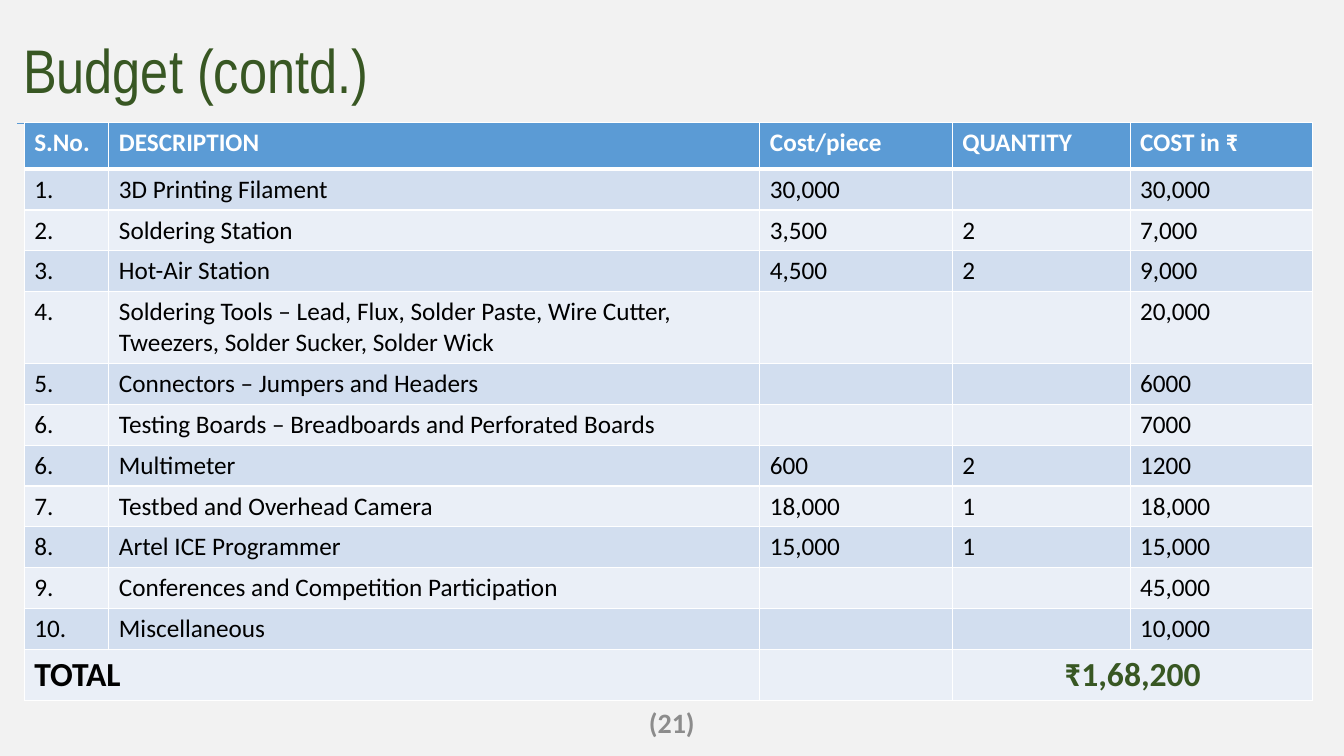
from lxml import etree
from pptx import Presentation
from pptx.dml.color import RGBColor
from pptx.enum.shapes import MSO_CONNECTOR
from pptx.enum.text import MSO_ANCHOR, MSO_AUTO_SIZE, PP_ALIGN
from pptx.oxml.ns import qn
from pptx.util import Pt

GREEN, BLUE, WHITE, BLACK = "385723", "5B9BD5", "FFFFFF", "000000"
BAND_DARK, BAND_LIGHT = "D2DEEF", "EAEFF7"
BACKGROUND, PAGE_GREY = "F2F2F2", "8C8C8C"

COLUMN_WIDTHS = [60.5, 465, 137.5, 127, 130.5]
HEADER_HEIGHT, ITEM_HEIGHT, TWO_LINE_HEIGHT, TOTAL_HEIGHT = 33, 29.2, 51, 36

HEADINGS = ["S.No.", "DESCRIPTION", "Cost/piece", "QUANTITY", "COST in ₹"]
ITEMS = [
    ["1.", "3D Printing Filament", "30,000", "", "30,000"],
    ["2.", "Soldering Station", "3,500", "2", "7,000"],
    ["3.", "Hot-Air Station", "4,500", "2", "9,000"],
    ["4.", "Soldering Tools – Lead, Flux, Solder Paste, Wire Cutter, "
           "Tweezers, Solder Sucker, Solder Wick", "", "", "20,000"],
    ["5.", "Connectors – Jumpers and Headers", "", "", "6000"],
    ["6.", "Testing Boards – Breadboards and Perforated Boards", "", "", "7000"],
    ["6.", "Multimeter", "600", "2", "1200"],
    ["7.", "Testbed and Overhead Camera", "18,000", "1", "18,000"],
    ["8.", "Artel ICE Programmer", "15,000", "1", "15,000"],
    ["9.", "Conferences and Competition Participation", "", "", "45,000"],
    ["10.", "Miscellaneous", "", "", "10,000"],
]
TOTAL = ["TOTAL", "", "", "₹1,68,200", ""]


def rgb(hex_colour):
    return RGBColor.from_string(hex_colour)


def style(paragraph, size, colour, bold=False, name="Calibri", align=PP_ALIGN.LEFT):
    font = paragraph.font
    font.size, font.bold, font.name = Pt(size), bold, name
    font.color.rgb = rgb(colour)
    paragraph.alignment = align


def add_title(slide, left, top, width, height):
    title = slide.shapes.title
    title.left, title.top, title.width, title.height = map(Pt, (left, top, width, height))
    frame = title.text_frame
    frame.text = "Budget (contd.)"
    frame.auto_size = MSO_AUTO_SIZE.NONE
    frame.vertical_anchor = MSO_ANCHOR.MIDDLE
    frame.margin_left = Pt(16.5)
    heading = frame.paragraphs[0]
    heading.line_spacing = 0.9
    style(heading, 44, GREEN, name="Arial Narrow")


def add_title_rule(slide, left, top, width):
    rule = slide.shapes.add_connector(
        MSO_CONNECTOR.STRAIGHT, Pt(left), Pt(top), Pt(left + width), Pt(top))
    rule.line.color.rgb = rgb(BLUE)
    rule.line.width = Pt(0.5)
    etree.SubElement(rule._element.spPr, qn("a:effectLst"))


def set_borders(cell, top, bottom):
    """Draw white borders, with the top and bottom widths in points."""
    properties = cell._tc.get_or_add_tcPr()
    for side, width in (("L", 1), ("R", 1), ("T", top), ("B", bottom)):
        line = etree.SubElement(properties, qn(f"a:ln{side}"), w=str(Pt(width)))
        fill = etree.SubElement(line, qn("a:solidFill"))
        etree.SubElement(fill, qn("a:srgbClr"), val=WHITE)


def row_height(index, total_index):
    if index == 0:
        return HEADER_HEIGHT
    if index == total_index:
        return TOTAL_HEIGHT
    return TWO_LINE_HEIGHT if len(ITEMS[index - 1][1]) > 60 else ITEM_HEIGHT


def add_budget_table(slide, left, top):
    rows = [HEADINGS, *ITEMS, TOTAL]
    total_index = len(rows) - 1
    heights = [row_height(index, total_index) for index in range(len(rows))]
    table = slide.shapes.add_table(
        len(rows), len(HEADINGS), Pt(left), Pt(top),
        Pt(sum(COLUMN_WIDTHS)), Pt(sum(heights))).table
    table.first_row = table.horz_banding = False
    for column, width in zip(table.columns, COLUMN_WIDTHS):
        column.width = Pt(width)

    for index, (texts, height) in enumerate(zip(rows, heights)):
        table.rows[index].height = Pt(height)
        band = BLUE if index == 0 else BAND_DARK if index % 2 else BAND_LIGHT
        for cell, text in zip(table.rows[index].cells, texts):
            set_borders(cell, top=3 if index == 1 else 1, bottom=3 if index == 0 else 1)
            cell.fill.solid()
            cell.fill.fore_color.rgb = rgb(band)
            cell.text = text
            style(cell.text_frame.paragraphs[0], 18,
                  WHITE if index == 0 else BLACK, bold=index == 0)

    label, amount = table.cell(total_index, 0), table.cell(total_index, 3)
    label.merge(table.cell(total_index, 1))
    amount.merge(table.cell(total_index, 4))
    style(label.text_frame.paragraphs[0], 24, BLACK, bold=True)
    style(amount.text_frame.paragraphs[0], 24, GREEN, bold=True, align=PP_ALIGN.CENTER)


def add_page_number(slide, left, top, width, height):
    frame = slide.shapes.add_textbox(*map(Pt, (left, top, width, height))).text_frame
    frame.word_wrap = True
    frame.vertical_anchor = MSO_ANCHOR.MIDDLE
    frame.text = "(21)"
    style(frame.paragraphs[0], 20, PAGE_GREY, bold=True, align=PP_ALIGN.CENTER)


def add_budget_slide(deck):
    slide = deck.slides.add_slide(deck.slide_layouts[5])
    slide.background.fill.solid()
    slide.background.fill.fore_color.rgb = rgb(BACKGROUND)
    add_title(slide, 0, 0, 828, 104.4)
    add_title_rule(slide, 12.2, 87.8, 892.8)
    add_budget_table(slide, 17.3, 87.8)
    add_page_number(slide, 381.6, 501.8, 196.6, 28.8)


def main():
    deck = Presentation()
    deck.slide_width, deck.slide_height = Pt(960), Pt(540)
    add_budget_slide(deck)
    deck.save("out.pptx")


if __name__ == "__main__":
    main()
